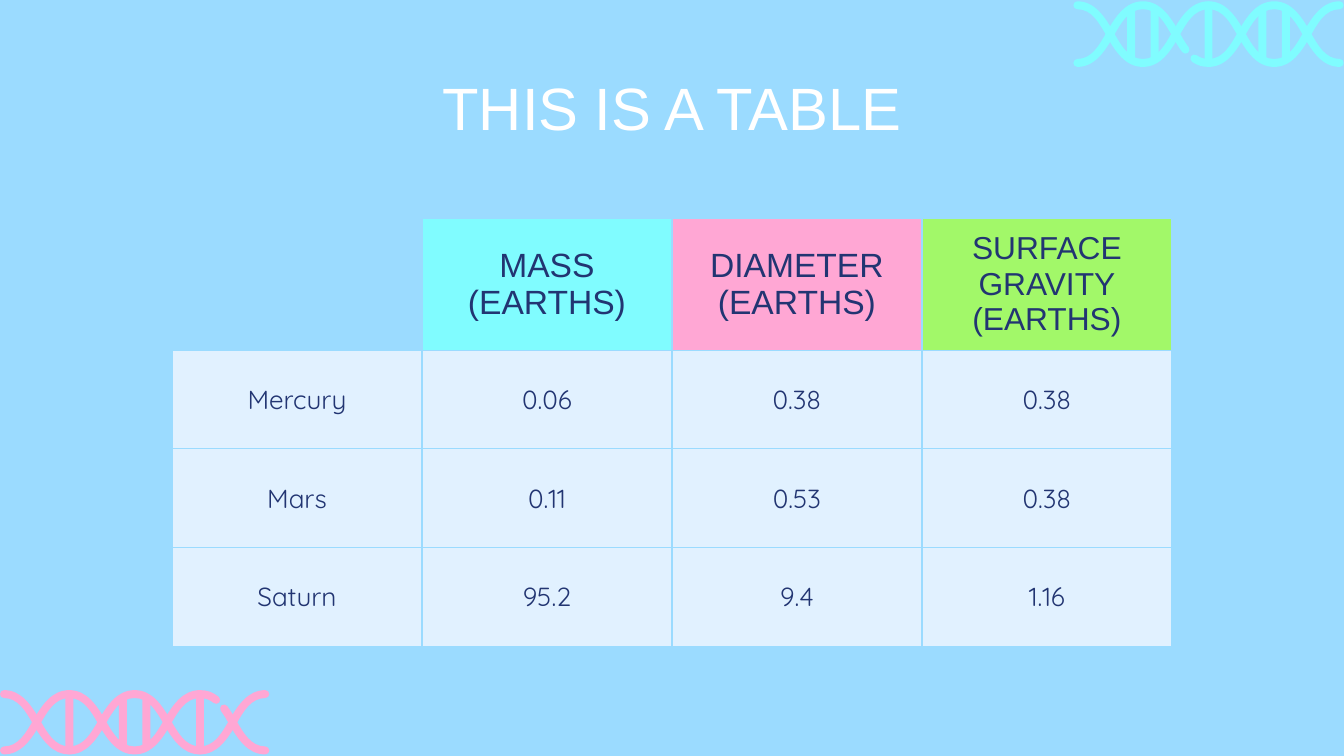
from dataclasses import dataclass
from math import atan2, cos, hypot, pi, sin

from lxml.etree import SubElement
from pptx import Presentation
from pptx.dml.color import RGBColor
from pptx.enum.text import MSO_ANCHOR, PP_ALIGN
from pptx.oxml.ns import qn
from pptx.util import Cm, Pt

SKY = RGBColor(0x9B, 0xDB, 0xFF)
CYAN = RGBColor(0x80, 0xFC, 0xFF)
PINK = RGBColor(0xFF, 0xA7, 0xD4)
GREEN = RGBColor(0xA2, 0xF8, 0x69)
PALE = RGBColor(0xE1, 0xF1, 0xFF)
NAVY = RGBColor(0x22, 0x35, 0x72)
WHITE = RGBColor(0xFF, 0xFF, 0xFF)

INSET = Cm(0.51)
HEADER_INSET = Cm(0.3)
CELL_W, CELL_H, HEADER_H = Cm(9.45), Cm(3.73), Cm(4.98)
RADIUS = 0.15  # half the thickness of strands and rungs, cm
HANDLE = 0.37  # Bézier handle length as a share of the chord

Knot = tuple[float, float, float]  # x, y, direction


@dataclass
class Helix:
    """Lengths in cm; gap and rungs are counted in half-waves from the left."""
    left: float
    top: float
    half_wave: float
    depth: float
    color: RGBColor
    gap: tuple[float, float]
    rungs: tuple[float, ...]


@dataclass
class Header:
    text: str
    size: int
    color: RGBColor


HELICES = [
    Helix(40.72, 0.2, 2.48, 2.18, CYAN, (1.69, 1.83), (0.82, 2, 1.18, 2.82, 3.18)),
    Helix(0.15, 26.24, 2.47, 2.13, PINK, (3.2, 3.33), (3, 1, 2.18, 1.82)),
]
HEADERS = [
    Header("MASS\n(EARTHS)", 36, CYAN),
    Header("DIAMETER\n(EARTHS)", 36, PINK),
    Header("SURFACE GRAVITY\n(EARTHS)", 34, GREEN),
]
PLANETS = [
    ("Mercury", "0.06", "0.38", "0.38"),
    ("Mars", "0.11", "0.53", "0.38"),
    ("Saturn", "95.2", "9.4", "1.16"),
]


def write(tf, text: str, *, size: int, font: str, color: RGBColor,
          spacing: float | None = None) -> None:
    """Fill a text frame with centred paragraphs, one per line of text."""
    tf.word_wrap = True
    for i, line in enumerate(text.split("\n")):
        p = tf.paragraphs[0] if i == 0 else tf.add_paragraph()
        p.alignment = PP_ALIGN.CENTER
        p.line_spacing = spacing
        r = p.add_run()
        r.text = line
        r.font.size, r.font.name = Pt(size), font
        r.font.color.rgb = color


def set_insets(box, vertical: int = INSET) -> None:
    box.margin_left = box.margin_right = INSET
    box.margin_top = box.margin_bottom = vertical
    box.vertical_anchor = MSO_ANCHOR.MIDDLE


def strand(h: Helix, start: float, end: float, phase: int) -> list[Knot]:
    """Centre line of a wave; phase 0 starts at the top, 1 at the bottom."""
    inner = [i / 2 for i in range(9) if start < i / 2 < end]
    knots = []
    for u in [start, *inner, end]:
        n = min(int(u), 3)
        t = u - n
        across = n + 1.5 * t * (1 - t) + t ** 3
        down = 3 * t ** 2 - 2 * t ** 3
        dx, dy = 1.5 - 3 * t * (1 - t), 6 * t * (1 - t)
        if (n + phase) % 2:
            down, dy = 1 - down, -dy
        knots.append((h.left + across * h.half_wave, h.top + down * h.depth,
                      atan2(dy * h.depth, dx * h.half_wave)))
    return knots


def rung(h: Helix, position: float) -> list[Knot]:
    x = h.left + position * h.half_wave
    margin = 0 if position == int(position) else 0.12
    return [(x, h.top + margin, pi / 2), (x, h.top + h.depth - margin, pi / 2)]


def half_outline(line: list[Knot]) -> list[Knot]:
    """One side of a ribbon along the line, with the tip of its rounded end."""
    side = [(x + RADIUS * sin(a), y - RADIUS * cos(a), a) for x, y, a in line]
    x, y, a = line[-1]
    return side + [(x + RADIUS * cos(a), y + RADIUS * sin(a), a + pi / 2)]


def draw_ribbon(shapes, line: list[Knot], color: RGBColor) -> None:
    back = [(x, y, a + pi) for x, y, a in reversed(line)]
    knots = half_outline(line) + half_outline(back)
    points = []
    for (x1, y1, a1), (x2, y2, a2) in zip(knots, knots[1:] + knots[:1]):
        reach = HANDLE * hypot(x2 - x1, y2 - y1)
        points += [(x1 + reach * cos(a1), y1 + reach * sin(a1)),
                   (x2 - reach * cos(a2), y2 - reach * sin(a2)), (x2, y2)]
    builder = shapes.build_freeform(Cm(knots[0][0]), Cm(knots[0][1]))
    builder.add_line_segments([(Cm(x), Cm(y)) for x, y in points], close=True)
    sp = builder.convert_to_shape()
    sp.shadow.inherit = False
    sp.fill.solid()
    sp.fill.fore_color.rgb = color
    sp.line.fill.background()

    # Turn each run of three line points into one curve
    segments = list(sp._element.iter(qn("a:lnTo")))
    for i in range(0, len(segments), 3):
        curve = segments[i]
        for other in segments[i + 1:i + 3]:
            curve.append(other[0])
            other.getparent().remove(other)
        curve.tag = qn("a:cubicBezTo")


def draw_helix(s, h: Helix) -> None:
    group = s.shapes.add_group_shape()
    lines = [strand(h, 0, 4, 0), strand(h, 0, h.gap[0], 1), strand(h, h.gap[1], 4, 1)]
    lines += [rung(h, position) for position in h.rungs]
    for line in lines:
        draw_ribbon(group.shapes, line, h.color)


def style_cell(cell, fill: RGBColor | None, vertical: int = INSET) -> None:
    set_insets(cell, vertical)
    if fill is None:
        cell.fill.background()
    else:
        cell.fill.solid()
        cell.fill.fore_color.rgb = fill
    tc_pr = cell._tc.get_or_add_tcPr()
    for i, side in enumerate(("lnL", "lnR", "lnT", "lnB")):
        ln = SubElement(tc_pr, qn(f"a:{side}"), w=str(Pt(1.5)))
        SubElement(SubElement(ln, qn("a:solidFill")), qn("a:srgbClr"), val=str(SKY))
        tc_pr.insert(i, ln)  # borders come before the fill


def draw_table(s) -> None:
    rows, cols = len(PLANETS) + 1, len(HEADERS) + 1
    frame = s.shapes.add_table(rows, cols, Cm(6.5), Cm(8.26), CELL_W * cols, CELL_H * rows)
    table = frame.table
    table.first_row = table.horz_banding = False
    for column in table.columns:
        column.width = CELL_W
    for i, row in enumerate(table.rows):
        row.height = CELL_H if i else HEADER_H

    style_cell(table.cell(0, 0), None)
    for c, header in enumerate(HEADERS, 1):
        cell = table.cell(0, c)
        style_cell(cell, header.color, HEADER_INSET)
        write(cell.text_frame, header.text, size=header.size, font="Arial", color=NAVY)
    for r, planet in enumerate(PLANETS, 1):
        for c, value in enumerate(planet):
            cell = table.cell(r, c)
            style_cell(cell, PALE)
            write(cell.text_frame, value, size=28, font="Quicksand", color=NAVY)


def main() -> None:
    prs = Presentation()
    prs.slide_width, prs.slide_height = Cm(50.8), Cm(28.58)
    s = prs.slides.add_slide(prs.slide_layouts[6])
    s.background.fill.solid()
    s.background.fill.fore_color.rgb = SKY

    # Corner decorations
    for helix in HELICES:
        draw_helix(s, helix)

    # Title
    tf = s.shapes.add_textbox(Cm(4.04), Cm(3.02), Cm(42.72), Cm(2.54)).text_frame
    set_insets(tf)
    write(tf, "THIS IS A TABLE", size=64, font="Arial", color=WHITE, spacing=0.8)

    # Planet figures
    draw_table(s)
    prs.save("out.pptx")


if __name__ == "__main__":
    main()
